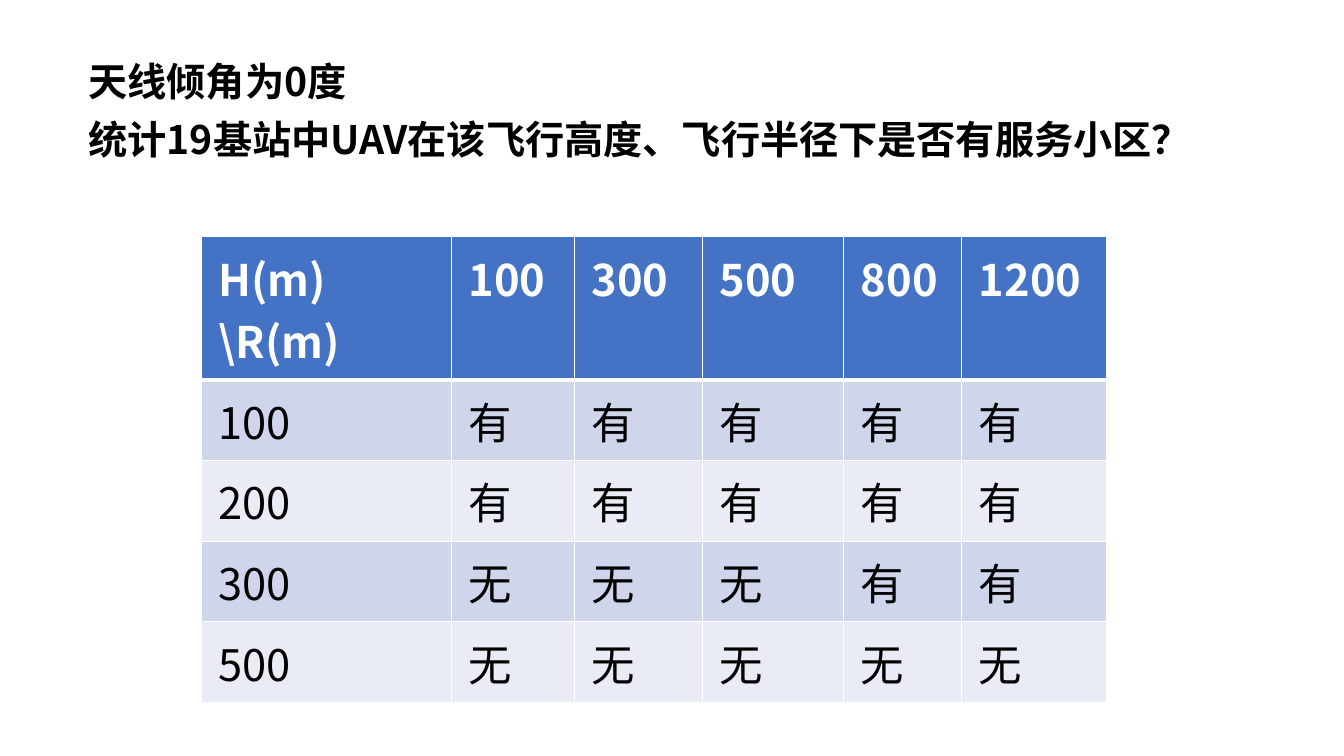
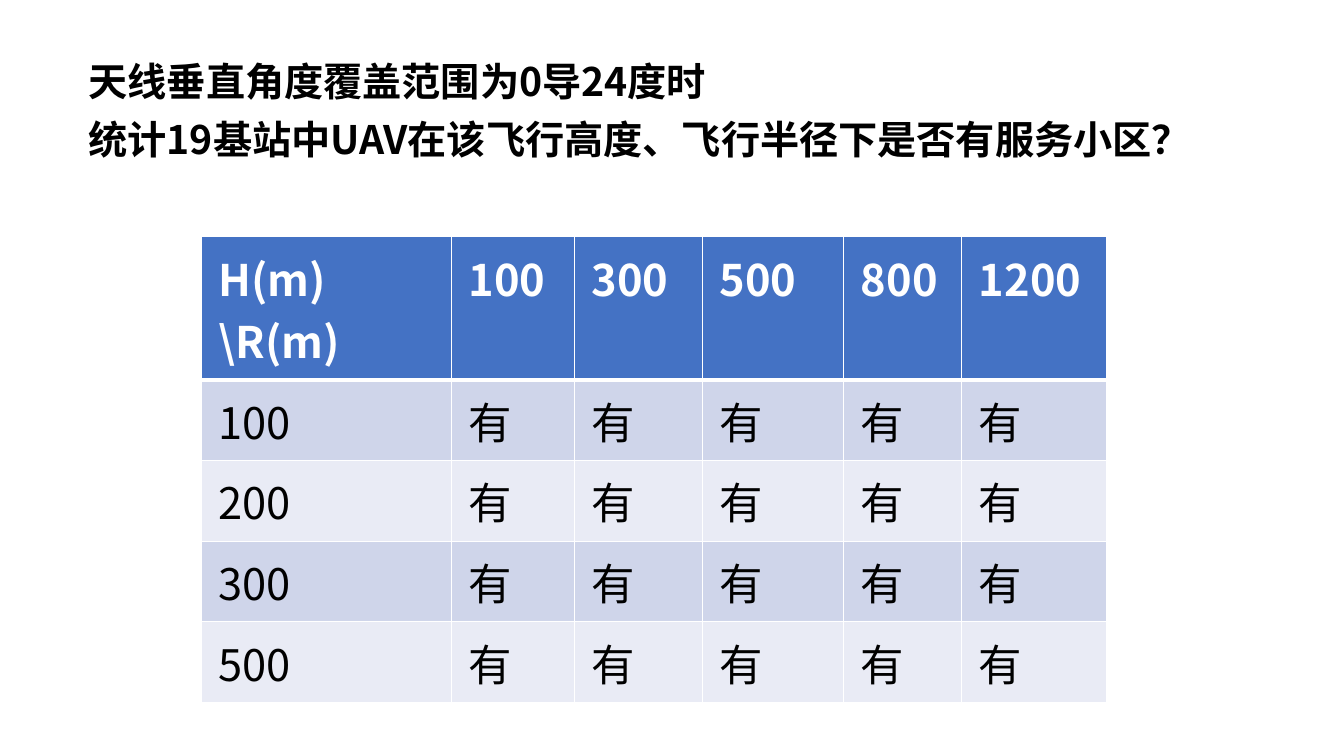
from lxml import etree
from pptx import Presentation
from pptx import util as u
from pptx.dml.color import RGBColor
from pptx.enum import text
from pptx.oxml import ns

COLORS = {
    "header": "4472C4",
    "odd_row": "CFD5EA",
    "even_row": "E9EBF5",
    "border": "FFFFFF",
    "header_text": "FFFFFF",
    "text": "000000",
}
FONT = "Noto Sans CJK SC"
TITLE_FONT = {"name": FONT, "size": u.Pt(28), "bold": True}
HEADER_FONT = {"name": FONT, "size": u.Pt(31), "bold": True}
BODY_FONT = {**HEADER_FONT, "bold": False}
CELL_MARGINS = {
    "margin_left": u.Inches(0.17),
    "margin_right": u.Inches(0.17),
    "margin_top": u.Inches(0.09),
    "margin_bottom": u.Inches(0.08),
}
TITLE_FRAME = {"word_wrap": False, "auto_size": text.MSO_AUTO_SIZE.SHAPE_TO_FIT_TEXT}

TITLE_LEFT, TITLE_TOP, TITLE_HEIGHT = 0.78, 0.52, 0.57
TABLE_LEFT, TABLE_TOP = 2, 2.35
COLUMN_WIDTHS = [2.48, 1.22, 1.27, 1.4, 1.17, 1.44]
ROW_HEIGHTS = [1.42] + [0.8] * 4

QUESTION = ("统计19基站中UAV在该飞行高度、飞行半径下是否有服务小区？", 11.25)
RADII = ["100", "300", "500", "800", "1200"]
HEIGHTS = ["100", "200", "300", "500"]
SLIDES = [
    (("天线倾角为0度", 3.56), ["有有有有有", "有有有有有", "无无无有有", "无无无无无"]),
    (("天线垂直角度覆盖范围为0导24度时", 7.18), ["有有有有有"] * 4),
]


def apply_format(target, values):
    for name, value in values.items():
        setattr(target, name, value)


def write_text(frame, content, font_values, color):
    run = frame.paragraphs[0].add_run()
    run.text = content
    apply_format(run.font, font_values)
    run.font.color.rgb = RGBColor.from_string(COLORS[color])
    properties = run.font._element
    etree.SubElement(properties, ns.qn("a:ea"), typeface=FONT)


def add_borders(cell, widths):
    properties = cell._tc.get_or_add_tcPr()
    for side, width in zip("LRTB", widths):
        line = etree.SubElement(properties, ns.qn(f"a:ln{side}"), w=str(u.Pt(width)))
        fill = etree.SubElement(line, ns.qn("a:solidFill"))
        etree.SubElement(fill, ns.qn("a:srgbClr"), val=COLORS["border"])


def add_title(slide, lines, left, top):
    for index, (content, width) in enumerate(lines):
        box = slide.shapes.add_textbox(
            u.Inches(left), u.Inches(top + index * TITLE_HEIGHT),
            u.Inches(width), u.Inches(TITLE_HEIGHT))
        apply_format(box.text_frame, TITLE_FRAME)
        write_text(box.text_frame, content, TITLE_FONT, "text")


def style_cell(cell, row_index):
    apply_format(cell, CELL_MARGINS)
    top = 3 if row_index == 1 else 1
    bottom = 3 if row_index == 0 else 1
    add_borders(cell, [1, 1, top, bottom])
    band = "odd_row" if row_index % 2 else "even_row"
    cell.fill.solid()
    cell.fill.fore_color.rgb = RGBColor.from_string(
        COLORS["header" if row_index == 0 else band])


def add_coverage_table(slide, coverage, left, top):
    rows = [["H(m)\\R(m)", *RADII]]
    rows += [[height, *marks] for height, marks in zip(HEIGHTS, coverage)]
    table = slide.shapes.add_table(
        len(rows), len(COLUMN_WIDTHS), u.Inches(left), u.Inches(top),
        u.Inches(sum(COLUMN_WIDTHS)), u.Inches(sum(ROW_HEIGHTS))).table
    for column, width in zip(table.columns, COLUMN_WIDTHS):
        column.width = u.Inches(width)
    for table_row, height in zip(table.rows, ROW_HEIGHTS):
        table_row.height = u.Inches(height)
    for row_index, row in enumerate(rows):
        font_values, color = (BODY_FONT, "text") if row_index else (HEADER_FONT, "header_text")
        for column_index, content in enumerate(row):
            cell = table.cell(row_index, column_index)
            style_cell(cell, row_index)
            write_text(cell.text_frame, content, font_values, color)


def add_coverage_slide(presentation, heading, coverage):
    slide = presentation.slides.add_slide(presentation.slide_layouts[6])
    add_coverage_table(slide, coverage, TABLE_LEFT, TABLE_TOP)
    add_title(slide, [heading, QUESTION], TITLE_LEFT, TITLE_TOP)


def main():
    presentation = Presentation()
    presentation.slide_width = u.Inches(13.33)
    presentation.slide_height = u.Inches(7.5)
    for heading, coverage in SLIDES:
        add_coverage_slide(presentation, heading, coverage)
    presentation.save("out.pptx")


if __name__ == "__main__":
    main()
